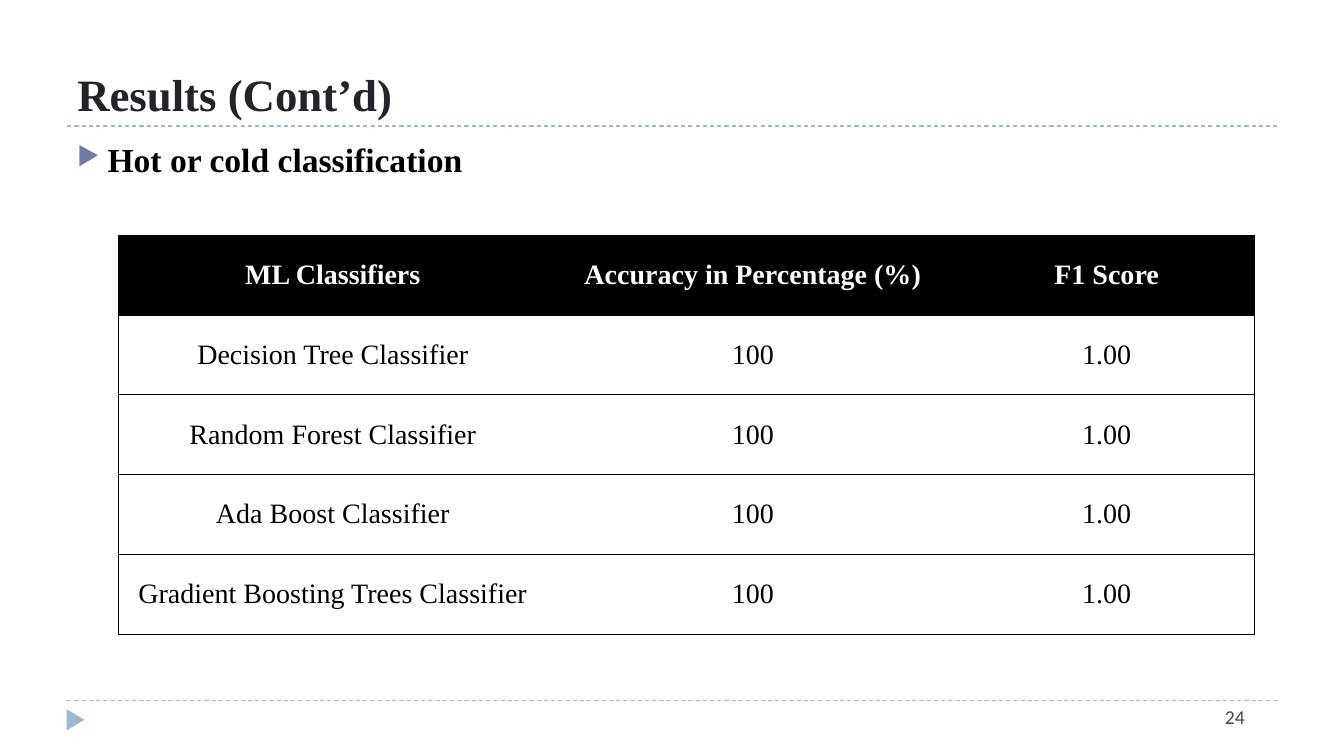
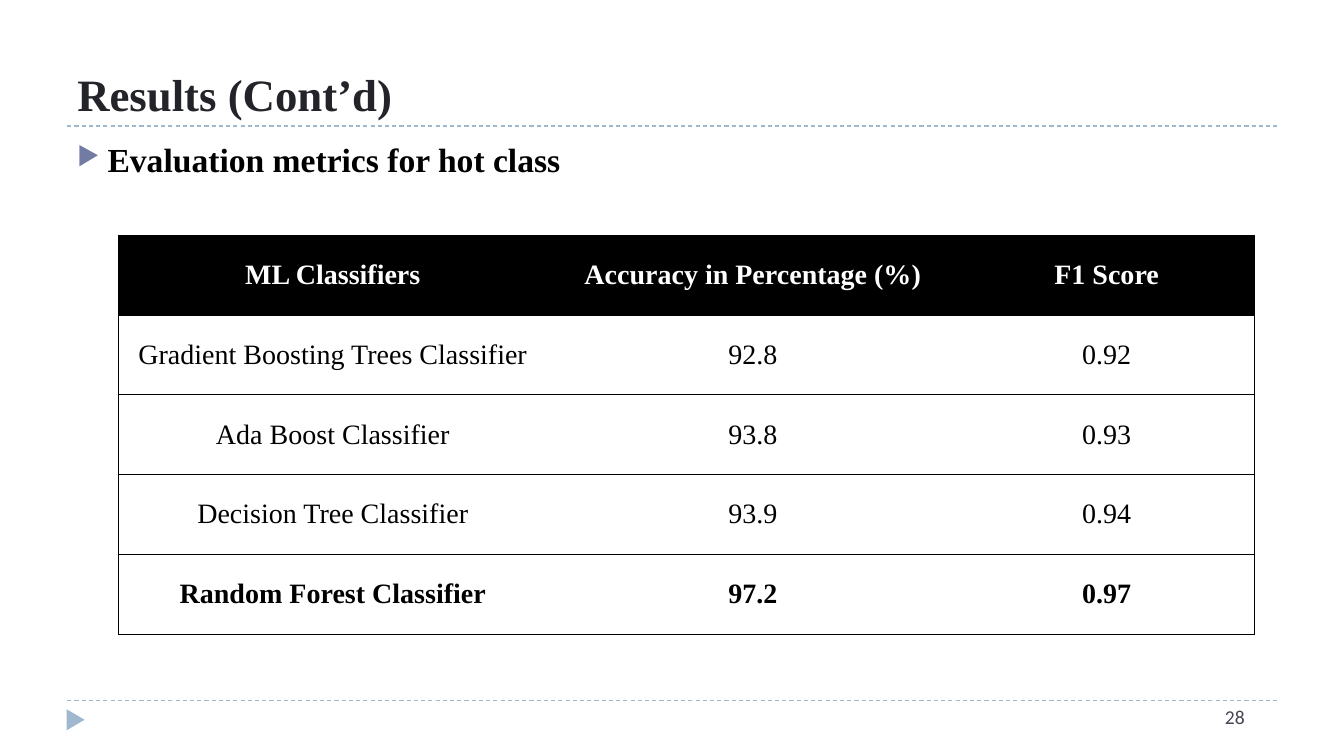
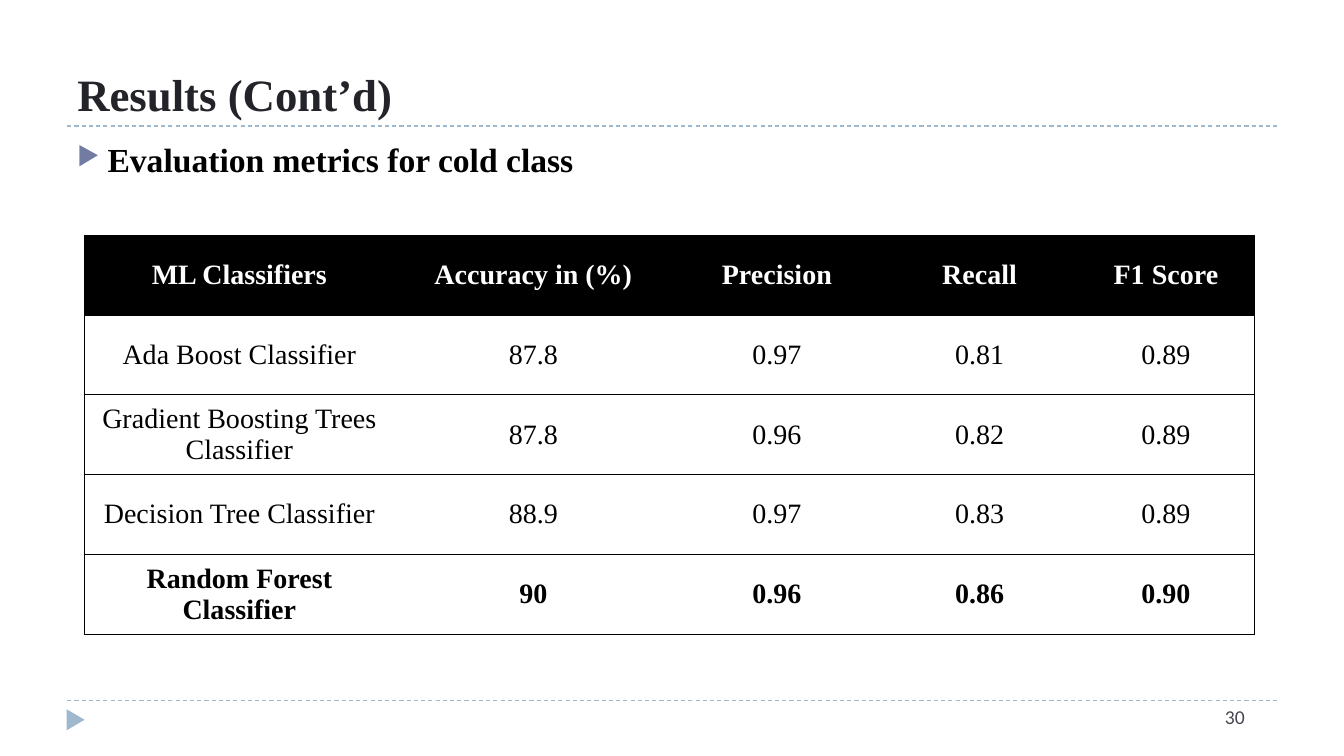
"""Build three result slides, each with a classifier comparison table."""
from lxml import etree
from pptx import Presentation
from pptx.dml.color import RGBColor
from pptx.enum.dml import MSO_LINE
from pptx.enum.shapes import MSO_CONNECTOR, MSO_SHAPE
from pptx.enum.text import MSO_ANCHOR, MSO_AUTO_SIZE, PP_ALIGN
from pptx.oxml.ns import qn
from pptx.util import Emu, Pt

STRAIGHT = MSO_CONNECTOR.STRAIGHT
TRIANGLE = MSO_SHAPE.ISOSCELES_TRIANGLE
DASH = MSO_LINE.DASH
MIDDLE, BOTTOM = MSO_ANCHOR.MIDDLE, MSO_ANCHOR.BOTTOM
LEFT, CENTER, RIGHT = PP_ALIGN.LEFT, PP_ALIGN.CENTER, PP_ALIGN.RIGHT

COLORS = {
    "rule": "9FB8CD",
    "title": "23232A",
    "number": "464653",
    "bullet": "727CA3",
    "black": "000000",
    "white": "FFFFFF",
}
SERIF, SANS = "Times New Roman", "Calibri"
TITLE = "Results (Cont’d)"
NO_GRID_STYLE = "{2D5ABB26-0587-4C30-8999-92F81FD0307C}"

SLIDE_SIZE = (1280, 720)
MARGIN, CONTENT_WIDTH = 64, 1152
RULE_TOPS = (667, 120)
MARKER_BOX = (62, 677, 20, 17)
TITLE_BOX = (MARGIN, 16, CONTENT_WIDTH, 104)
BODY_BOX = (MARGIN, 128, CONTENT_WIDTH, 518)
NUMBER_BOX = (918, 667, 277, 38)
BULLET_INDENT = 29
TABLE_TOP, TABLE_RIGHT, ROW_HEIGHT = 224, 1195, 76

SHORT_HEADER = ("ML Classifiers", "Accuracy in Percentage (%)", "F1 Score")
SHORT_COLUMNS = (408, 392, 282)

SLIDES = [
    {
        "number": "24",
        "heading": "Hot or cold classification",
        "columns": SHORT_COLUMNS,
        "bold_last": False,
        "rows": [
            SHORT_HEADER,
            ("Decision Tree Classifier", "100", "1.00"),
            ("Random Forest Classifier", "100", "1.00"),
            ("Ada Boost Classifier", "100", "1.00"),
            ("Gradient Boosting Trees Classifier", "100", "1.00"),
        ],
    },
    {
        "number": "28",
        "heading": "Evaluation metrics for hot class",
        "columns": SHORT_COLUMNS,
        "bold_last": True,
        "rows": [
            SHORT_HEADER,
            ("Gradient Boosting Trees Classifier", "92.8", "0.92"),
            ("Ada Boost Classifier", "93.8", "0.93"),
            ("Decision Tree Classifier", "93.9", "0.94"),
            ("Random Forest Classifier", "97.2", "0.97"),
        ],
    },
    {
        "number": "30",
        "heading": "Evaluation metrics for cold class",
        "columns": (296, 264, 200, 186, 169),
        "bold_last": True,
        "rows": [
            ("ML Classifiers", "Accuracy in (%)", "Precision", "Recall", "F1 Score"),
            ("Ada Boost Classifier", "87.8", "0.97", "0.81", "0.89"),
            ("Gradient Boosting Trees Classifier", "87.8", "0.96", "0.82", "0.89"),
            ("Decision Tree Classifier", "88.9", "0.97", "0.83", "0.89"),
            ("Random Forest Classifier", "90", "0.96", "0.86", "0.90"),
        ],
    },
]


def px(value):
    return Emu(value * 9525)


def color(name):
    return RGBColor.from_string(COLORS[name])


def format_paragraph(paragraph, size, color_name, bold=False, align=LEFT, font_name=SERIF):
    paragraph.alignment = align
    font = paragraph.font
    font.name, font.size, font.bold = font_name, Pt(size), bold
    font.color.rgb = color(color_name)


def move_bands_to_layout(slide, layout):
    for placeholder in list(layout.placeholders):
        if placeholder.placeholder_format.idx != 0:
            layout.shapes.element.remove(placeholder.element)
    bands = []
    for top in RULE_TOPS:
        rule = slide.shapes.add_connector(
            STRAIGHT, px(MARGIN), px(top), px(MARGIN + CONTENT_WIDTH), px(top))
        rule.line.color.rgb = color("rule")
        rule.line.width = Pt(0.75)
        rule.line.dash_style = DASH
        etree.SubElement(rule.element.spPr, qn("a:effectLst"))
        bands.append(rule)
    marker = slide.shapes.add_shape(TRIANGLE, *map(px, MARKER_BOX))
    marker.rotation = 90
    marker.shadow.inherit = False
    marker.fill.solid()
    marker.fill.fore_color.rgb = color("rule")
    marker.line.fill.background()
    for band in [*bands, marker]:
        layout.shapes.element.append(band.element)


def set_title(slide):
    title = slide.shapes.title
    title.left, title.top, title.width, title.height = map(px, TITLE_BOX)
    frame = title.text_frame
    frame.text = TITLE
    frame.auto_size = MSO_AUTO_SIZE.NONE
    frame.vertical_anchor = BOTTOM
    format_paragraph(frame.paragraphs[0], 32, "title", bold=True)


def add_text(slide, box, text):
    frame = slide.shapes.add_textbox(*map(px, box)).text_frame
    frame.word_wrap = True
    frame.text = text
    return frame.paragraphs[0]


def add_bullet(paragraph):
    properties = paragraph._p.get_or_add_pPr()
    properties.set("marL", str(px(BULLET_INDENT)))
    properties.set("indent", str(-px(BULLET_INDENT)))
    bullet_color = etree.SubElement(properties, qn("a:buClr"))
    etree.SubElement(bullet_color, qn("a:srgbClr"), val=COLORS["bullet"])
    etree.SubElement(properties, qn("a:buSzPct"), val="76000")
    etree.SubElement(properties, qn("a:buChar"), char="▶")


def add_borders(cell, sides):
    properties = cell._tc.get_or_add_tcPr()
    for side in sides:
        line = etree.SubElement(properties, qn(f"a:ln{side}"), w=str(Pt(0.75)))
        fill = etree.SubElement(line, qn("a:solidFill"))
        etree.SubElement(fill, qn("a:srgbClr"), val=COLORS["black"])


def add_results_table(slide, rows, columns, bold_last):
    width = sum(columns)
    graphic_frame = slide.shapes.add_table(
        len(rows), len(columns), px(TABLE_RIGHT - width), px(TABLE_TOP),
        px(width), px(ROW_HEIGHT * len(rows)))
    graphic_frame.element.find(f".//{qn('a:tableStyleId')}").text = NO_GRID_STYLE
    table = graphic_frame.table
    table.horz_banding = False
    for column, column_width in zip(table.columns, columns):
        column.width = px(column_width)
    last_row, last_column = len(rows) - 1, len(columns) - 1
    for row_index, values in enumerate(rows):
        table.rows[row_index].height = px(ROW_HEIGHT)
        is_header = row_index == 0
        is_bold = is_header or (bold_last and row_index == last_row)
        for column_index, value in enumerate(values):
            cell = table.cell(row_index, column_index)
            cell.text = value
            cell.vertical_anchor = MIDDLE
            sides = ["L"] * (column_index == 0) + ["R"] * (column_index == last_column)
            add_borders(cell, sides + ["T", "B"])
            cell.fill.solid()
            cell.fill.fore_color.rgb = color("black" if is_header else "white")
            format_paragraph(cell.text_frame.paragraphs[0], 20,
                             "white" if is_header else "black", is_bold, CENTER)


def main():
    presentation = Presentation()
    presentation.slide_width, presentation.slide_height = map(px, SLIDE_SIZE)
    layout = presentation.slide_layouts[5]
    for index, content in enumerate(SLIDES):
        slide = presentation.slides.add_slide(layout)
        if index == 0:
            move_bands_to_layout(slide, layout)
        set_title(slide)
        number = add_text(slide, NUMBER_BOX, content["number"])
        format_paragraph(number, 14, "number", align=RIGHT, font_name=SANS)
        heading = add_text(slide, BODY_BOX, content["heading"])
        add_bullet(heading)
        format_paragraph(heading, 24, "black", bold=True)
        add_results_table(slide, content["rows"], content["columns"], content["bold_last"])
    presentation.save("out.pptx")


if __name__ == "__main__":
    main()
